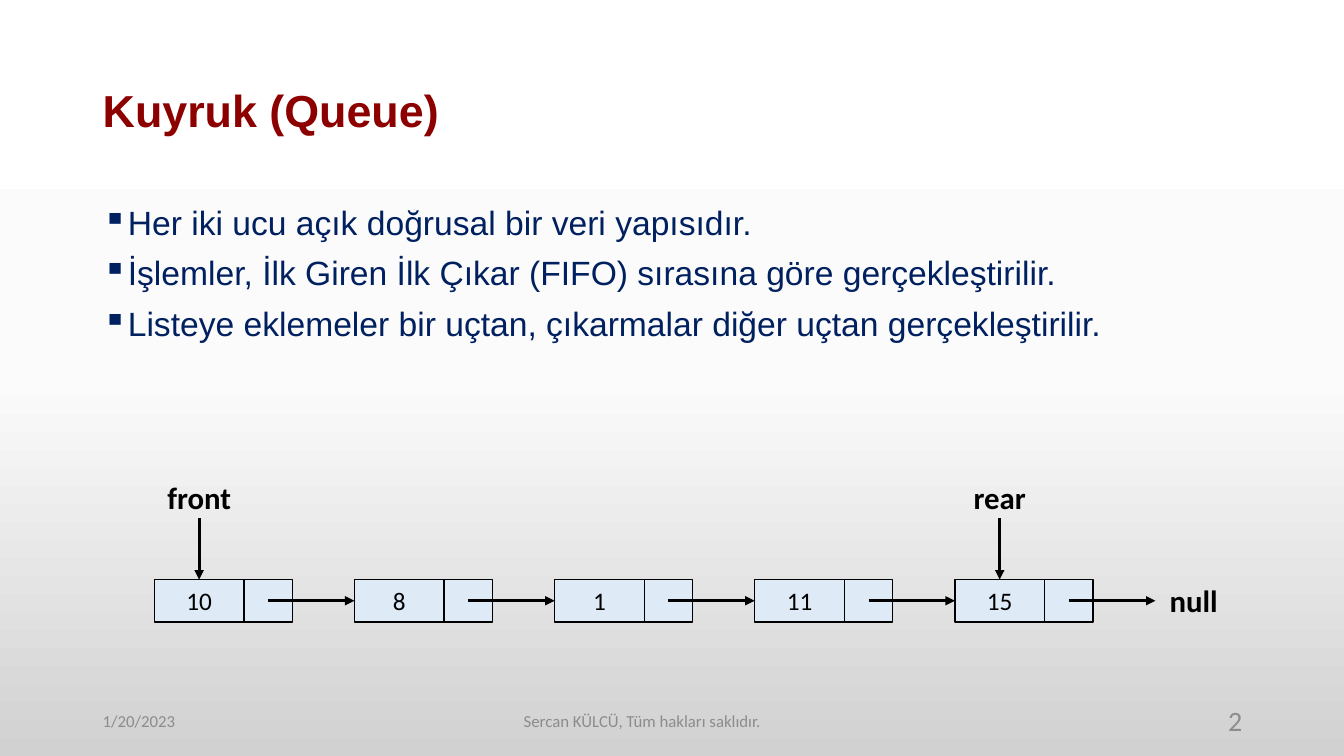
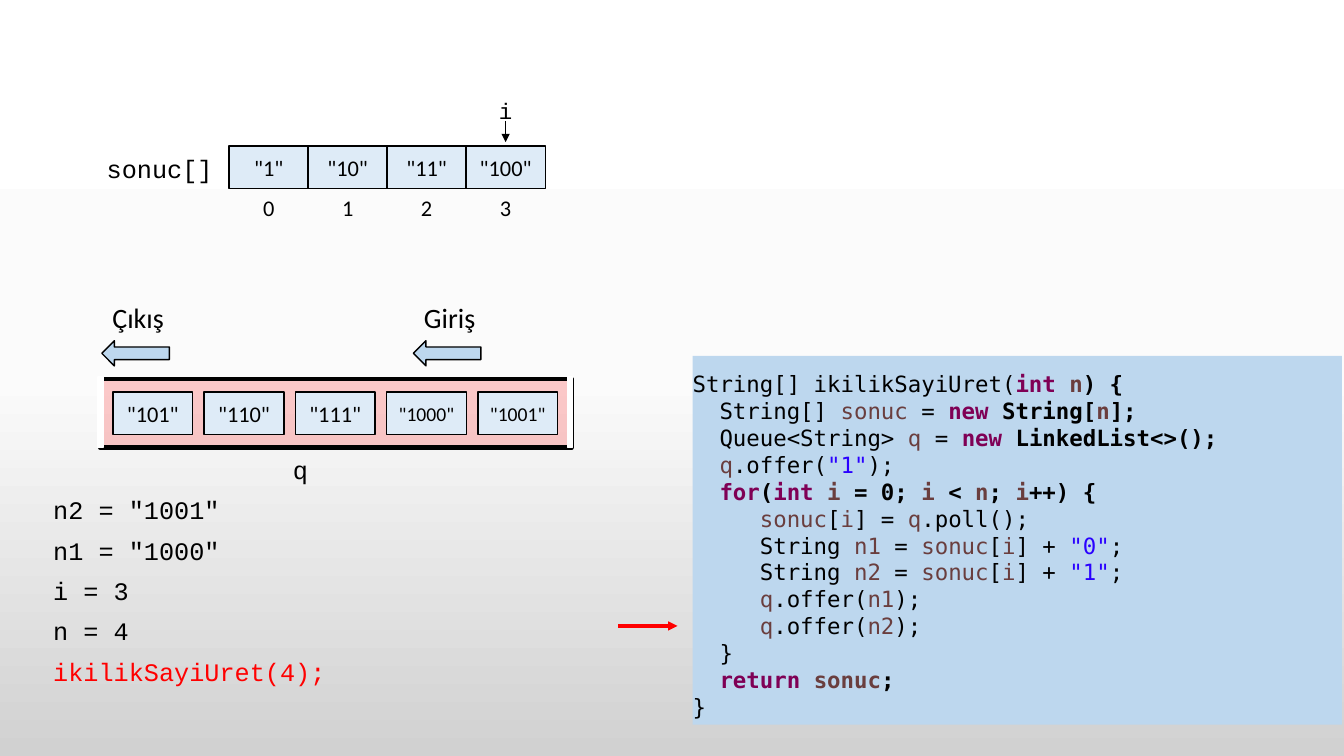
from dataclasses import dataclass
from itertools import groupby
from typing import Any, Callable, NamedTuple, Optional

import lxml.etree
import pptx
import pptx.dml.color
import pptx.enum.shapes
import pptx.enum.text
import pptx.oxml.ns
import pptx.util

Inches = pptx.util.Inches
Pt = pptx.util.Pt
qn = pptx.oxml.ns.qn
Shape = pptx.enum.shapes.MSO_SHAPE
Align = pptx.enum.text.PP_ALIGN
Anchor = pptx.enum.text.MSO_ANCHOR

COLORS = {
    "black": "000000", "white": "FFFFFF", "mist": "FBFBFB", "smoke": "D1D1D1",
    "title": "8C0000", "body": "002060", "foot": "8C8C8C",
    "cell": "DEEBF7", "panel": "BDD7EE", "red": "FF0000",
    "key": "7F0055", "name": "6A3E3E", "quote": "2A00FF",
}
MONO = "Courier New"
KEYS = {"int", "new", "for", "return"}
NAMES = {"sonuc", "q", "n", "i", "n1", "n2"}
CODE = """String[] ikilikSayiUret(int n) {
  String[] sonuc = new String[n];
  Queue<String> q = new LinkedList<>();
  q.offer("1");
  for(int i = 0; i < n; i++) {
     sonuc[i] = q.poll();
     String n1 = sonuc[i] + "0";
     String n2 = sonuc[i] + "1";
     q.offer(n1);
     q.offer(n2);
  }
  return sonuc;
}"""
POINTS = """Her iki ucu açık doğrusal bir veri yapısıdır.
İşlemler, İlk Giren İlk Çıkar (FIFO) sırasına göre gerçekleştirilir.
Listeye eklemeler bir uçtan, çıkarmalar diğer uçtan gerçekleştirilir."""


class Box(NamedTuple):
    left: float
    top: float
    width: float
    height: float

    @property
    def mid(self) -> float:
        return self.left + self.width / 2


class Run(NamedTuple):
    text: str
    color: str
    bold: bool


@dataclass
class Foot:
    text: str
    box: Box
    align: Any
    size: int = 12


@dataclass
class Gate:
    text: str
    left: float


FEET = [
    Foot("1/20/2023", Box(0.92, 6.95, 3, 0.4), Align.LEFT),
    Foot("Sercan KÜLCÜ, Tüm hakları saklıdır.", Box(2.58, 6.95, 7.58, 0.4), Align.CENTER),
    Foot("2", Box(9.42, 6.95, 3, 0.4), Align.RIGHT, 20),
]
GATES = [Gate("Çıkış", 1.01), Gate("Giriş", 4.1)]


def rgb(name: str) -> pptx.dml.color.RGBColor:
    return pptx.dml.color.RGBColor.from_string(COLORS[name])


def place(box: Box) -> list:
    return [Inches(length) for length in box]


def paint(line: str) -> list[Run]:
    runs, bold = [], False
    for _, chars in groupby(line, lambda char: char.isalnum() or char == '"'):
        word = "".join(chars)
        bold = bold or word in KEYS
        color = ("key" if word in KEYS else "name" if word in NAMES
                 else "quote" if word.startswith('"') else "black")
        runs.append(Run(word, color, bold))
    return runs


def write(shape: Any, text: str, *, size: float = 18, font: str = "Calibri",
          color: str = "black", bold: bool = False, align: Any = Align.LEFT,
          anchor: Any = Anchor.TOP, bullet: str = "", before: float = 0,
          spacing: float = 1, inset: Optional[float] = None,
          style: Optional[Callable[[str], list[Run]]] = None) -> None:
    frame = shape.text_frame
    frame.word_wrap = True
    frame.vertical_anchor = anchor
    if inset is not None:
        frame.margin_left = frame.margin_right = Inches(inset)
    for index, line in enumerate(text.split("\n")):
        para = frame.add_paragraph() if index else frame.paragraphs[0]
        para.alignment = align
        para.line_spacing = spacing
        if index and before:
            para.space_before = Pt(before)
        if bullet:
            props = para._p.get_or_add_pPr()
            props.set("marL", str(Inches(0.25)))
            props.set("indent", str(-Inches(0.25)))
            lxml.etree.SubElement(props, qn("a:buChar")).set("char", bullet)
        for part in style(line) if style else [Run(line, color, bold)]:
            run = para.add_run()
            run.text = part.text
            run.font.name = font
            run.font.size = Pt(size)
            run.font.bold = part.bold
            run.font.color.rgb = rgb(part.color)


def label(slide: Any, box: Box, text: str, **form: Any) -> None:
    write(slide.shapes.add_textbox(*place(box)), text, **form)


def center(slide: Any, mid: float, top: float, text: str, **form: Any) -> None:
    label(slide, Box(mid - 0.6, top, 1.2, 0.45), text, align=Align.CENTER, **form)


def draw(slide: Any, box: Box, fill: str, *, kind: Any = Shape.RECTANGLE,
         line: Optional[str] = "black", width: float = 1, alpha: int = 100) -> Any:
    shape = slide.shapes.add_shape(kind, *place(box))
    shape.shadow.inherit = False
    shape.fill.solid()
    shape.fill.fore_color.rgb = rgb(fill)
    if alpha < 100:
        tint = shape._element.spPr.find(qn("a:solidFill"))[0]
        lxml.etree.SubElement(tint, qn("a:alpha")).set("val", str(alpha * 1000))
    if line:
        shape.line.color.rgb = rgb(line)
        shape.line.width = Pt(width)
    else:
        shape.line.fill.background()
    return shape


def cell(slide: Any, box: Box, text: str = "", size: float = 18) -> Any:
    shape = draw(slide, box, "cell")
    if text:
        write(shape, text, size=size, align=Align.CENTER, anchor=Anchor.MIDDLE, inset=0)
    return shape


def arrow(slide: Any, start: tuple[float, float], end: tuple[float, float], *,
          color: str = "black", width: float = 2.25, goal: Any = None,
          side: int = 0) -> None:
    line = slide.shapes.add_connector(
        pptx.enum.shapes.MSO_CONNECTOR.STRAIGHT, *map(Inches, start + end))
    line.line.color.rgb = rgb(color)
    line.line.width = Pt(width)
    props = line._element.spPr
    tail = lxml.etree.SubElement(props.find(qn("a:ln")), qn("a:tailEnd"))
    tail.set("type", "triangle")
    lxml.etree.SubElement(props, qn("a:effectLst"))
    if goal is not None:
        line.end_connect(goal, side)


def shade(master: Any) -> None:
    fill = master.background.fill
    fill.gradient()
    fill.gradient_angle = 270
    stops = next(master.element.iter(qn("a:gsLst")))
    for stop in list(stops):
        stops.remove(stop)
    for point, name in ((0, "white"), (50, "mist"), (100, "smoke")):
        stop = lxml.etree.SubElement(stops, qn("a:gs"))
        stop.set("pos", str(point * 1000))
        lxml.etree.SubElement(stop, qn("a:srgbClr")).set("val", COLORS[name])


def chain(slide: Any) -> None:
    top, high, wide, step = 5.75, 0.42, 0.89, 7.94 / 4
    axis = top + high / 2
    boxes = [Box(1.53 + step * i, top, wide, high) for i in range(5)]
    nodes, starts = [], []
    for box, text in zip(boxes, ("10", "8", "1", "11", "15")):
        nodes.append(cell(slide, box, text))
        link = Box(box.left + wide, top, 0.48, high)
        cell(slide, link)
        starts.append(link.mid)
    for start, box, node in zip(starts, boxes[1:], nodes[1:]):
        arrow(slide, (start, axis), (box.left, axis), goal=node, side=1)
    arrow(slide, (starts[-1], axis), (11.46, axis))
    center(slide, 11.84, 5.72, "null", size=22, bold=True)
    for index, text in ((0, "front"), (-1, "rear")):
        mid = boxes[index].mid
        center(slide, mid, 4.7, text, size=22, bold=True)
        arrow(slide, (mid, 5.14), (mid, top), goal=nodes[index])


def intro(slide: Any) -> None:
    label(slide, Box(0.92, 0.4, 11.5, 1.45), "Kuyruk (Queue)", size=32, font="Arial",
          color="title", bold=True, anchor=Anchor.MIDDLE, spacing=0.9)
    label(slide, Box(0.92, 2, 11.5, 2.4), POINTS, size=24, font="Arial", color="body",
          align=Align.JUSTIFY, bullet="▪", before=10, spacing=0.9)
    for foot in FEET:
        label(slide, foot.box, foot.text, size=foot.size, color="foot",
              align=foot.align, anchor=Anchor.MIDDLE)
    chain(slide)


def array(slide: Any) -> None:
    label(slide, Box(0.96, 1.47, 1.3, 0.4), "sonuc[]", font=MONO, inset=0.1)
    for index, text in enumerate(('"1"', '"10"', '"11"', '"100"')):
        box = Box(2.27 + 2.35 / 3 * index, 1.45, 0.79, 0.42)
        cell(slide, box, text, 16)
        center(slide, box.mid, 1.88, str(index), size=16)
    center(slide, box.mid, 0.91, "i", size=16, font=MONO)
    arrow(slide, (box.mid, 1.2), (box.mid, 1.41), width=1)


def queue(slide: Any) -> None:
    draw(slide, Box(0.99, 3.76, 4.68, 0.68), "red", width=3, alpha=20)
    for left in (0.97, 5.63):
        draw(slide, Box(left, 3.74, 0.05, 0.7), "white", line="white")
    for gate in GATES:
        draw(slide, Box(gate.left, 3.38, 0.67, 0.25), "panel", kind=Shape.LEFT_ARROW)
        center(slide, gate.left + 0.36, 2.93, gate.text, size=20)
    for index, text in enumerate(('"101"', '"110"', '"111"', '"1000"', '"1001"')):
        box = Box(1.12 + 3.62 / 4 * index, 3.89, 0.79, 0.42)
        cell(slide, box, text, 14 if len(text) > 5 else 16)
    center(slide, 2.98, 4.46, "q", font=MONO)


def trace(slide: Any) -> None:
    array(slide)
    queue(slide)
    calls = ('n2 = "1001"', 'n1 = "1000"', "i = 3", "n = 4", "ikilikSayiUret(4);")
    for index, text in enumerate(calls):
        label(slide, Box(0.43, 4.86 + 0.4 * index, 3.2, 0.4), text, font=MONO,
              color="red" if text.endswith(";") else "black")
    arrow(slide, (6.13, 6.21), (6.72, 6.21), color="red")
    panel = draw(slide, Box(6.87, 3.53, 6.44, 3.66), "panel", line=None)
    write(panel, CODE, size=16, font="DejaVu Sans Mono", anchor=Anchor.BOTTOM,
          inset=0, style=paint)


def main() -> None:
    deck = pptx.Presentation()
    deck.slide_width, deck.slide_height = Inches(13.33), Inches(7.5)
    shade(deck.slide_master)
    for build in (intro, trace):
        build(deck.slides.add_slide(deck.slide_layouts[6]))
    deck.save("out.pptx")


if __name__ == "__main__":
    main()
